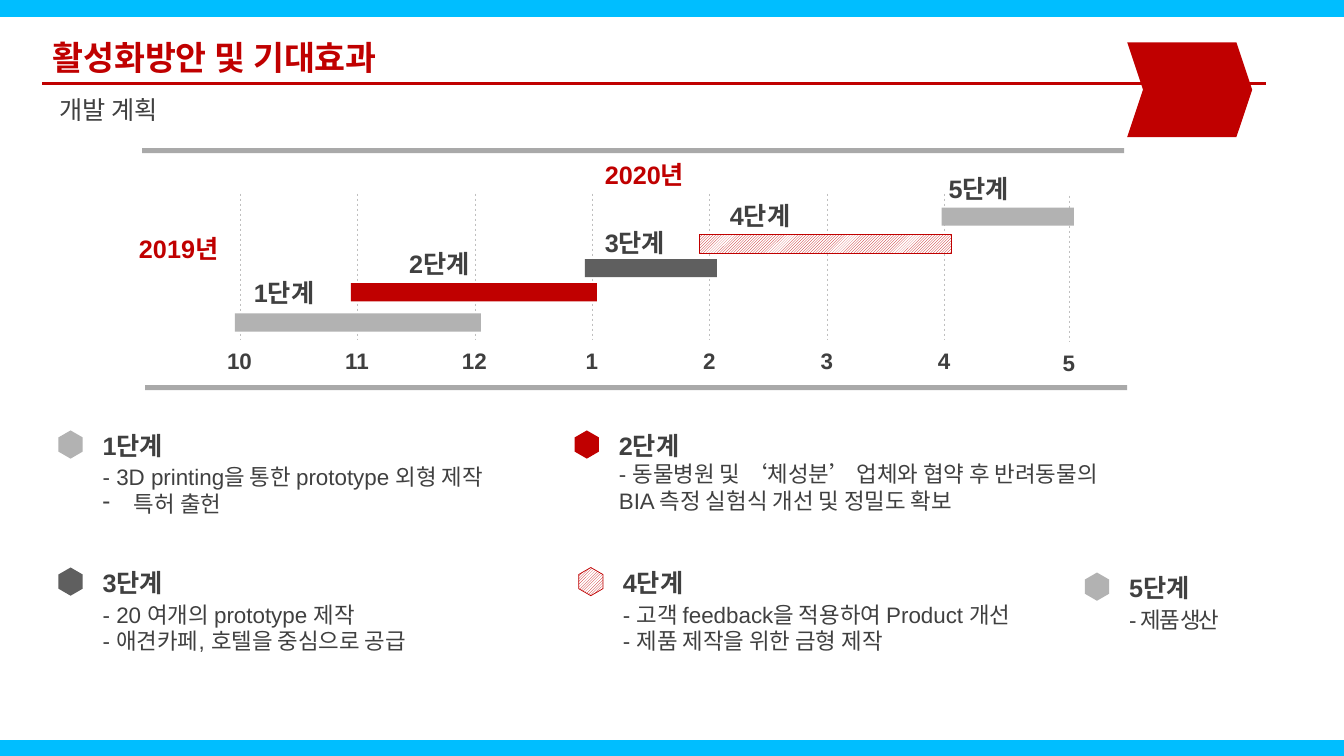
from lxml.etree import SubElement
from pptx import Presentation
from pptx.dml.color import RGBColor
from pptx.enum.dml import MSO_LINE, MSO_PATTERN
from pptx.enum.shapes import MSO_CONNECTOR, MSO_SHAPE
from pptx.enum.text import MSO_ANCHOR, PP_ALIGN
from pptx.oxml.ns import qn
from pptx.util import Inches, Pt

# Content
COLORS = {
    "sky": "00BEFF", "white": "FFFFFF", "red": "C00000", "text": "404040",
    "month": "3F3F3F", "grid": "BFBFBF", "light": "B2B2B2", "dark": "5F5F5F",
    "rule": "555555",
}
FONT = "Arial"
TITLE = "활성화방안 및 기대효과"
SUBTITLE = "개발 계획"
MONTHS = ["10", "11", "12", "1", "2", "3", "4", "5"]
FIRST_MONTH, MONTH_STEP = 2.38, 1.165
LAST_MONTH_SHIFT = (0.07, 0.02)
YEARS = [("2019년", 1.28, 2.27), ("2020년", 5.9, 1.53)]

# Stage name, fill, bar (left, top, width), label (left, top)
BARS = [
    ("1단계", "light", (2.33, 3.11, 2.44), (2.42, 2.7)),
    ("2단계", "red", (3.48, 2.81, 2.44), (3.96, 2.41)),
    ("3단계", "dark", (5.8, 2.57, 1.31), (5.9, 2.21)),
    ("4단계", "hatch", (6.94, 2.33, 2.5), (7.14, 1.94)),
    ("5단계", "light", (9.34, 2.06, 1.31), (9.31, 1.67)),
]
# Stage name, fill, marker (left, top), detail (top, width, height), lines
STAGES = [
    ("1단계", "light", (0.56, 4.29), (4.55, 4.39, 0.64),
     ["- 3D printing을 통한 prototype 외형 제작", "특허 출헌"]),
    ("2단계", "red", (5.68, 4.29), (4.52, 5.14, 0.64),
     ["- 동물병원 및 ‘체성분’ 업체와 협약 후 반려동물의 BIA 측정 실험식 개선 및 정밀도 확보"]),
    ("3단계", "dark", (0.56, 5.65), (5.91, 3.71, 0.82),
     ["- 20 여개의 prototype 제작", "- 애견카페, 호텔을 중심으로 공급"]),
    ("4단계", "hatch", (5.72, 5.65), (5.91, 4.55, 0.82),
     ["- 고객 feedback을 적용하여 Product 개선", "- 제품 제작을 위한 금형 제작"]),
    ("5단계", "light", (10.74, 5.7), (5.96, 3.15, 0.64), ["- 제품 생산"]),
]

presentation = Presentation()
presentation.slide_width = Inches(13.33)
presentation.slide_height = Inches(7.5)
slide = presentation.slides.add_slide(presentation.slide_layouts[6])


def color(name):
    return RGBColor.from_string(COLORS[name])


def add_shape(kind, left, top, width, height, fill):
    shape = slide.shapes.add_shape(
        kind, Inches(left), Inches(top), Inches(width), Inches(height))
    shape.shadow.inherit = False
    if fill == "hatch":
        shape.fill.patterned()
        shape.fill.pattern = MSO_PATTERN.LIGHT_UPWARD_DIAGONAL
        shape.fill.fore_color.rgb = color("red")
        shape.fill.back_color.rgb = color("white")
        shape.line.color.rgb = color("red")
        shape.line.width = Pt(0.5)
    else:
        shape.fill.solid()
        shape.fill.fore_color.rgb = color(fill)
        shape.line.fill.background()
    return shape


def add_line(start, end, line_color, width):
    line = slide.shapes.add_connector(
        MSO_CONNECTOR.STRAIGHT, *(Inches(value) for value in start + end))
    line.line.color.rgb = color(line_color)
    line.line.width = Pt(width)
    SubElement(line._element.spPr, qn("a:effectLst"))
    return line


def add_text(lines, left, top, width=3.15, height=0.4, size=18,
             text_color="text", bold=False, align=PP_ALIGN.LEFT):
    box = slide.shapes.add_textbox(
        Inches(left), Inches(top), Inches(width), Inches(height))
    text_frame = box.text_frame
    text_frame.word_wrap = True
    text_frame.text = "\n".join(lines)
    for paragraph in text_frame.paragraphs:
        paragraph.alignment = align
        for run in paragraph.runs:
            run.font.name = FONT
            run.font.size = Pt(size)
            run.font.bold = bold
            run.font.color.rgb = color(text_color)
    return text_frame


def add_dash_bullet(paragraph):
    properties = paragraph._p.get_or_add_pPr()
    properties.set("marL", str(Inches(0.31)))
    properties.set("indent", str(-Inches(0.31)))
    SubElement(properties, qn("a:buChar")).set("char", "-")


# Background and heading
slide.background.fill.solid()
slide.background.fill.fore_color.rgb = color("sky")
add_shape(MSO_SHAPE.RECTANGLE, 0, 0.17, 13.33, 7.17, "white")
add_text([SUBTITLE], 0.49, 0.89, 6.17, 0.31)
title = add_text([TITLE], 0.42, 0.32, 12.49, 0.5, 24, "red", True)
title.vertical_anchor = MSO_ANCHOR.MIDDLE
add_line((0.42, 0.83), (12.56, 0.83), "red", 2.25)
chevron = add_shape(MSO_SHAPE.CHEVRON, 11.18, 0.42, 1.24, 0.94, "red")
chevron.adjustments[0] = 0.167

# Month grid
for index, month in enumerate(MONTHS):
    is_last = index == len(MONTHS) - 1
    shift_x, shift_y = LAST_MONTH_SHIFT if is_last else (0, 0)
    x = FIRST_MONTH + index * MONTH_STEP + shift_x
    grid_line = add_line((x, 1.92 + shift_y), (x, 3.36 + shift_y), "grid", 0.5)
    grid_line.line.dash_style = MSO_LINE.DASH
    add_text([month], x - 0.41, 3.39 + shift_y, 0.81, 0.37, 16, "month", True,
             PP_ALIGN.CENTER)

# Schedule bars and their labels
for name, fill, (left, top, width), label_at in BARS:
    add_shape(MSO_SHAPE.RECTANGLE, left, top, width, 0.18, fill)
    add_text([name], *label_at, bold=True)
for year, left, top in YEARS:
    add_text([year], left, top, text_color="red", bold=True)

# Half-transparent rules above and below the schedule
for left, top in [(1.44, 3.82), (1.41, 1.47)]:
    rule = add_shape(MSO_SHAPE.RECTANGLE, left, top, 9.74, 0.05, "rule")
    rule_color = rule._element.spPr.find(qn("a:solidFill"))[0]
    SubElement(rule_color, qn("a:alpha")).set("val", "50000")

# Stage descriptions
for name, fill, (left, top), (detail_top, width, height), lines in STAGES:
    marker = add_shape(MSO_SHAPE.HEXAGON, left, top, 0.28, 0.24, fill)
    marker.rotation = 90
    marker.adjustments[0] = 0.289
    marker.adjustments[1] = 1.155
    add_text([name], left + 0.36, top - 0.07, bold=True)
    detail = add_text(lines, left + 0.36, detail_top, width, height, 16)
    for paragraph in detail.paragraphs:
        if not paragraph.text.startswith("-"):
            add_dash_bullet(paragraph)
        if name == "5단계":
            paragraph.runs[0]._r.get_or_add_rPr().set("spc", "-150")

presentation.save("out.pptx")
